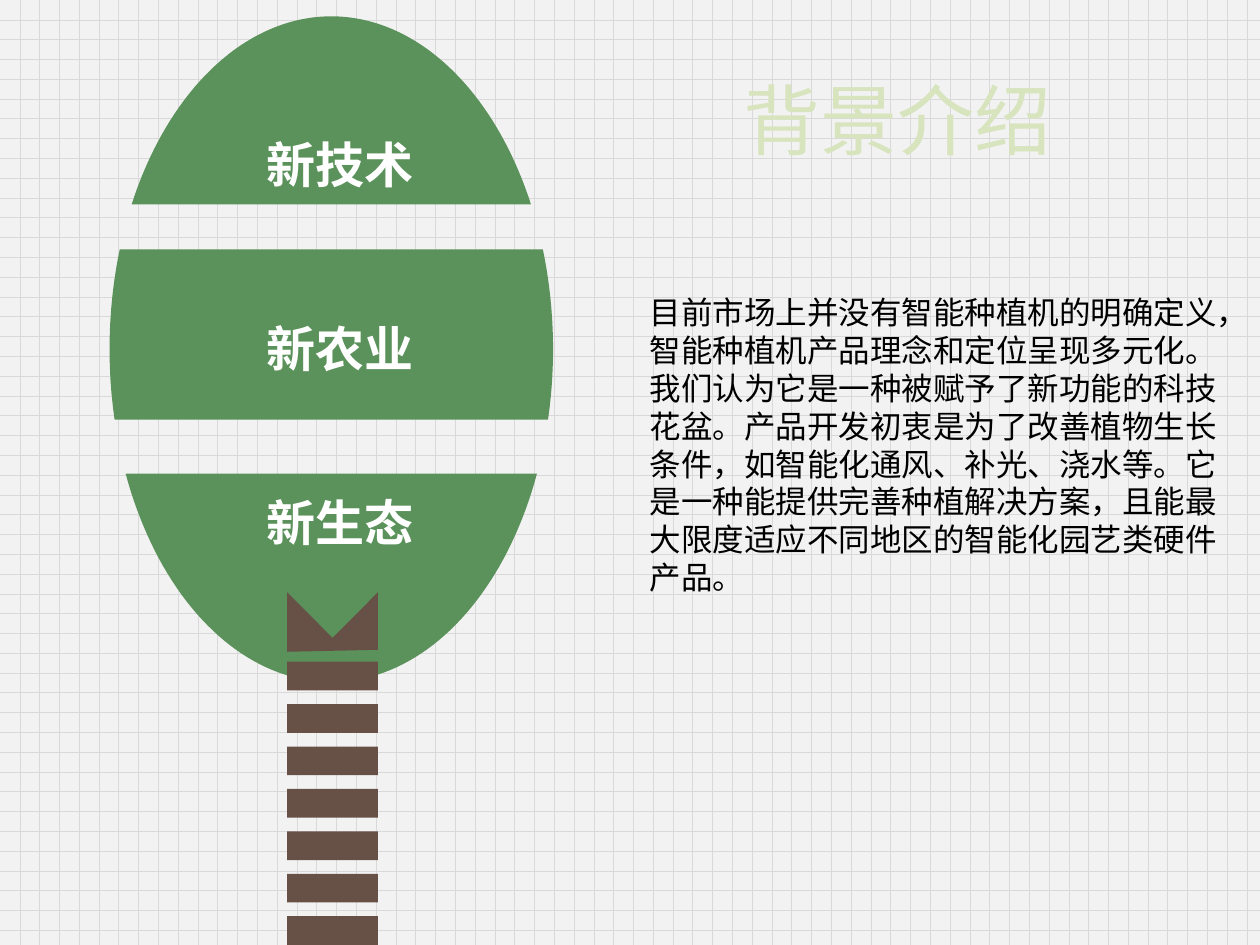
from dataclasses import dataclass
from math import asin, cos, pi, sin

from pptx import Presentation
from pptx.dml.color import RGBColor
from pptx.enum.dml import MSO_PATTERN
from pptx.enum.shapes import MSO_SHAPE
from pptx.enum.text import MSO_ANCHOR, MSO_AUTO_SIZE, PP_ALIGN
from pptx.util import Cm, Pt


@dataclass(frozen=True)
class Theme:
    font: str = "Roboto Condensed"
    paper: str = "F2F2F2"
    grid: str = "D9D9D9"
    leaf: str = "5B925B"
    bark: str = "675046"
    title: str = "D7E4BD"
    body: str = "000000"
    label: str = "FFFFFF"
    title_size: int = 44
    label_size: int = 28
    body_size: int = 18


@dataclass(frozen=True)
class Box:
    """A region of the slide, in centimetres."""
    left: float
    top: float
    width: float
    height: float

    def lengths(self):
        return Cm(self.left), Cm(self.top), Cm(self.width), Cm(self.height)


THEME = Theme()
CROWN = Box(2.21, 0.33, 8.94, 13.42)
TRUNK = Box(5.79, 11.94, 1.83, 7.11)
TITLE = Box(13.6, 0.9, 9, 3)
INTRO = Box(12.85, 5.79, 12.55, 6.4)

# Name, top and bottom of each slice, and top of its label, from the crown's top
CROWN_SLICES = [
    ("新技术", 0, 3.79, 2.39),
    ("新农业", 4.7, 8.13, 6.1),
    ("新生态", 9.22, 13.42, 9.6),
]
RING_COUNT = 7
INTRO_TEXT = (
    "目前市场上并没有智能种植机的明确定义，智能种植机产品理念和定位呈现多元化。"
    "我们认为它是一种被赋予了新功能的科技花盆。"
    "产品开发初衷是为了改善植物生长条件，如智能化通风、补光、浇水等。"
    "它是一种能提供完善种植解决方案，且能最大限度适应不同地区的智能化园艺类硬件产品。"
)


def write(shape, text, *, size, color, bold=False, align=PP_ALIGN.LEFT,
          anchor=MSO_ANCHOR.TOP, wrap=True, inset=None,
          auto_size=MSO_AUTO_SIZE.NONE):
    frame = shape.text_frame
    frame.text = text
    frame.word_wrap = wrap
    frame.auto_size = auto_size
    frame.vertical_anchor = anchor
    if inset is not None:
        frame.margin_left = frame.margin_right = Cm(inset)
        frame.margin_top = frame.margin_bottom = Cm(inset)
    paragraph = frame.paragraphs[0]
    paragraph.alignment = align
    font = paragraph.runs[0].font
    font.name, font.size, font.bold = THEME.font, Pt(size), bold
    font.color.rgb = RGBColor.from_string(color)


def paint(shape, color):
    shape.shadow.inherit = False
    shape.fill.solid()
    shape.fill.fore_color.rgb = RGBColor.from_string(color)
    shape.line.fill.background()


def slice_outline(box, top, bottom, steps=40):
    """Points around the part of the box's ellipse between two heights."""
    rx, ry = box.width / 2, box.height / 2
    start, end = (asin(y / ry - 1) for y in (top, bottom))
    angles = [start + (end - start) * i / steps for i in range(steps + 1)]
    angles += [pi - angle for angle in reversed(angles)]
    return [(Cm(box.left + rx + rx * cos(a)), Cm(box.top + ry + ry * sin(a)))
            for a in angles]


def add_crown(slide, box):
    outlines = [slice_outline(box, top, bottom)
                for _, top, bottom, _ in CROWN_SLICES]
    crown = slide.shapes.build_freeform(*outlines[0][0])
    for outline in outlines:
        crown.move_to(*outline[0])
        crown.add_line_segments(outline[1:], close=True)
    paint(crown.convert_to_shape(), THEME.leaf)


def add_crown_labels(slide, box):
    width, height = 3, 1.19
    left = box.left + (box.width - width) / 2 + 0.18
    for name, _, _, label_top in CROWN_SLICES:
        place = Box(left, box.top + label_top, width, height)
        label = slide.shapes.add_textbox(*place.lengths())
        write(label, name, size=THEME.label_size, color=THEME.label, bold=True,
              align=PP_ALIGN.CENTER, wrap=False, inset=0,
              auto_size=MSO_AUTO_SIZE.SHAPE_TO_FIT_TEXT)


def add_trunk(slide, box):
    trunk = slide.shapes.add_group_shape().shapes
    notch = [(0, 0), (0.5, 0.92), (1, 0), (1, 1.16), (0, 1.2)]
    points = [(Cm(box.left + x * box.width), Cm(box.top + y))
              for x, y in notch]
    fork = trunk.build_freeform(*points[0])
    fork.add_line_segments(points[1:], close=True)
    paint(fork.convert_to_shape(), THEME.bark)

    first, height = 1.4, 0.58
    pitch = (box.height - first - height) / (RING_COUNT - 1)
    for i in range(RING_COUNT):
        place = Box(box.left, box.top + first + i * pitch, box.width, height)
        ring = trunk.add_shape(MSO_SHAPE.RECTANGLE, *place.lengths())
        paint(ring, THEME.bark)


def add_title(slide, box):
    title = slide.shapes.title
    title.left, title.top, title.width, title.height = box.lengths()
    write(title, "背景介绍", size=THEME.title_size, color=THEME.title,
          align=PP_ALIGN.CENTER, anchor=MSO_ANCHOR.MIDDLE)


def add_intro(slide, box):
    intro = slide.shapes.add_textbox(*box.lengths())
    write(intro, INTRO_TEXT, size=THEME.body_size, color=THEME.body,
          auto_size=MSO_AUTO_SIZE.SHAPE_TO_FIT_TEXT)


def set_background(slide):
    fill = slide.background.fill
    fill.patterned()
    fill.pattern = MSO_PATTERN.DOTTED_GRID
    fill.fore_color.rgb = RGBColor.from_string(THEME.grid)
    fill.back_color.rgb = RGBColor.from_string(THEME.paper)


def main():
    deck = Presentation()
    deck.slide_width, deck.slide_height = Cm(25.4), Cm(19.05)
    slide = deck.slides.add_slide(deck.slide_layouts[5])
    set_background(slide)
    add_title(slide, TITLE)
    add_crown(slide, CROWN)
    add_trunk(slide, TRUNK)
    add_crown_labels(slide, CROWN)
    add_intro(slide, INTRO)
    deck.save("out.pptx")


if __name__ == "__main__":
    main()
